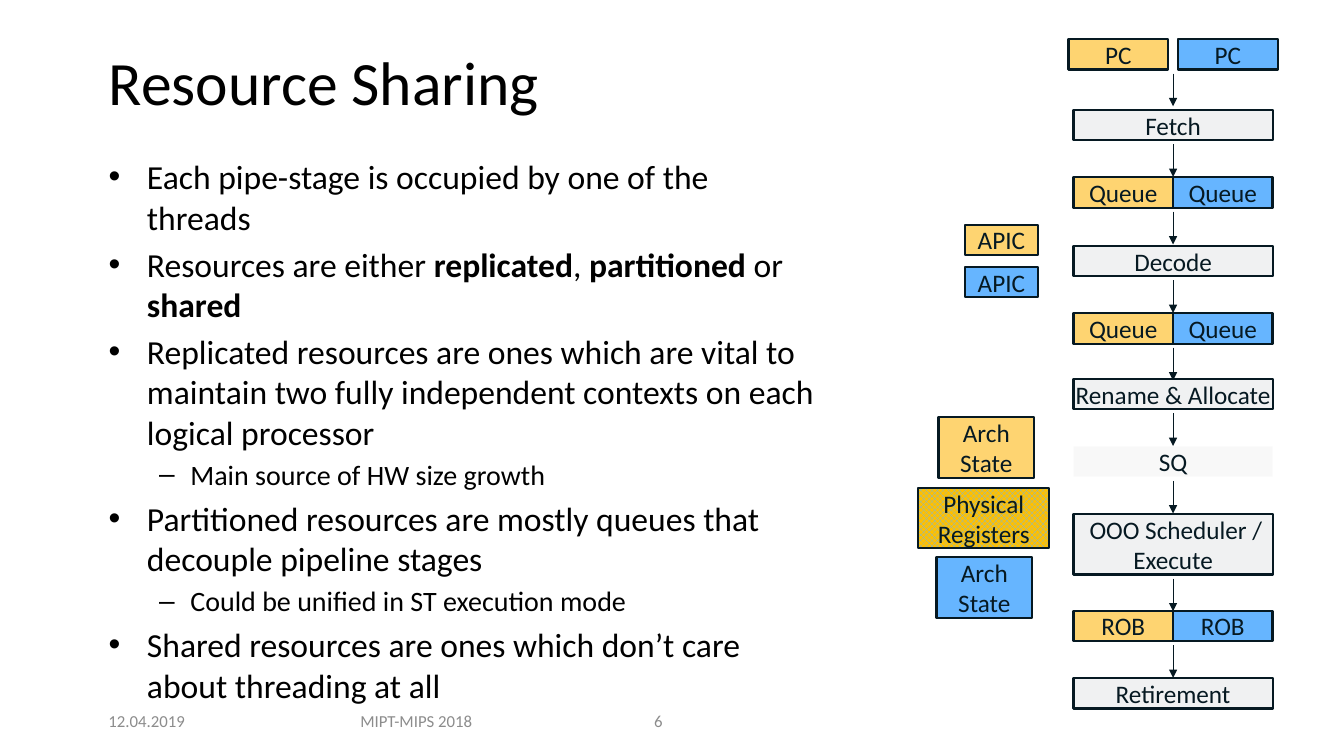
from dataclasses import dataclass
from typing import NamedTuple

from lxml import etree
from pptx import Presentation
from pptx import util as u
from pptx.dml.color import RGBColor
from pptx.enum import dml, shapes, text
from pptx.oxml import ns

CELL = u.Inches(0.1)  # grid of square cells, 133.3 columns by 75 rows
COLUMNS, ROWS = 133.33, 75


@dataclass(frozen=True)
class Theme:
    font: str = "Calibri"
    black: str = "000000"
    muted: str = "8C8C8C"
    ink: str = "061922"
    first: str = "FED471"
    second: str = "66B5FF"
    shared: str = "F0F1F2"
    mixed: str = "FFC000"
    faint: str = "F2F2F2"
    title: float = 44
    body: float = 24
    sub: float = 20
    label: float = 18
    footer: float = 12


class Box(NamedTuple):
    left: float
    top: float
    width: float
    height: float

    def inner(self, left, top, width, height):
        return Box(self.left + left, self.top + top, width, height)

    def lengths(self):
        return [int(value * CELL) for value in self]


THEME = Theme()
LINE = 3  # rows of a one-line block


def color(code):
    return RGBColor.from_string(code)


def add_span(para, words, size, ink, bold=False):
    span = para.add_run()
    span.text = words
    font = span.font
    font.name, font.size, font.bold = THEME.font, u.Pt(size), bold
    font.color.rgb = color(ink)


def write(frame, words, size=THEME.label, ink=THEME.ink, align=text.PP_ALIGN.CENTER,
          spacing=None):
    frame.word_wrap = True
    frame.vertical_anchor = text.MSO_ANCHOR.MIDDLE
    para = frame.paragraphs[0]
    para.alignment = align
    if spacing:
        para.line_spacing = spacing
    add_span(para, words, size, ink)


def add_text(page, box, words, **style):
    write(page.shapes.add_textbox(*box.lengths()).text_frame, words, **style)


def add_block(page, box, words, fill, side=1, border=True):
    block = page.shapes.add_shape(shapes.MSO_SHAPE.RECTANGLE, *box.lengths())
    block.shadow.inherit = False
    if fill == THEME.mixed:
        block.fill.patterned()
        block.fill.pattern = dml.MSO_PATTERN.LARGE_CHECKER_BOARD
        block.fill.fore_color.rgb = color(THEME.second)
        block.fill.back_color.rgb = color(THEME.mixed)
    else:
        block.fill.solid()
        block.fill.fore_color.rgb = color(fill)
    if border:
        block.line.color.rgb = color(THEME.ink)
        block.line.width = u.Pt(1.5)
    else:
        block.line.fill.background()
    frame = block.text_frame
    frame.margin_left = frame.margin_right = int(side * CELL)
    frame.margin_top = frame.margin_bottom = 0
    frame.auto_size = text.MSO_AUTO_SIZE.SHAPE_TO_FIT_TEXT
    write(frame, words)
    return block


def add_arrow(page, column, top, length):
    x, start, end = (int(value * CELL) for value in (column, top, top + length))
    arrow = page.shapes.add_connector(shapes.MSO_CONNECTOR.STRAIGHT, x, start, x, end)
    arrow.line.color.rgb = color(THEME.ink)
    arrow.line.width = u.Pt(0.75)
    etree.SubElement(arrow.line._get_or_add_ln(), ns.qn("a:tailEnd"), type="triangle")
    etree.SubElement(arrow._element.spPr, ns.qn("a:effectLst"))


def add_bullets(page, box, items):
    frame = page.shapes.add_textbox(*box.lengths()).text_frame
    frame.word_wrap = True
    for index, (level, spans) in enumerate(items):
        para = frame.paragraphs[0] if index == 0 else frame.add_paragraph()
        size = THEME.sub if level else THEME.body
        indent, hang, mark = (8.1, 3.1, "–") if level else (3.8, 3.8, "•")
        para.level = level
        if index:
            para.space_before = u.Pt(0.2 * size)
        props = para._p.get_or_add_pPr()
        props.set("marL", str(int(indent * CELL)))
        props.set("indent", str(int(-hang * CELL)))
        etree.SubElement(props, ns.qn("a:buFont"), typeface="Arial")
        etree.SubElement(props, ns.qn("a:buChar"), char=mark)
        # Every second span is emphasised
        for order, words in enumerate(spans):
            add_span(para, words, size, THEME.black, bold=order % 2 == 1)


def add_footer(page, box):
    for left, width, words, align in (
        (0, 10.7, "12.04.2019", text.PP_ALIGN.CENTER),
        (24.2, 15.8, "MIPT-MIPS 2018", text.PP_ALIGN.CENTER),
        (54.7, 7.9, "6", text.PP_ALIGN.LEFT),
    ):
        add_text(page, box.inner(left, 0, width, box.height), words,
                 size=THEME.footer, ink=THEME.muted, align=align)


def add_pipeline(page, box):
    half = box.width / 2
    # Row, labels, height and extra gap between the two halves
    stages = (
        (0, ("PC", "PC"), LINE, 1),
        (7, ("Fetch",), LINE, 0),
        (13.7, ("Queue", "Queue"), LINE, 0),
        (20.5, ("Decode",), LINE, 0),
        (27.2, ("Queue", "Queue"), LINE, 0),
        (33.7, ("Rename & Allocate",), LINE, 0),
        (40.4, ("SQ",), LINE, 0),
        (47.1, (" OOO Scheduler / Execute",), 2 * LINE, 0),
        (56.7, ("ROB", "ROB"), LINE, 0),
        (63.4, ("Retirement",), LINE, 0),
    )
    for row, labels, height, gap in stages:
        if len(labels) == 2:
            fills = THEME.first, THEME.second
            for side, (label, fill) in enumerate(zip(labels, fills)):
                left = side * (half + gap) - gap / 2
                add_block(page, box.inner(left, row, half, height), label, fill)
        elif labels[0] == "SQ":
            queue = add_block(page, box.inner(0, row, box.width, height), "SQ",
                              THEME.faint, border=False)
            tone = queue._element.spPr.find(".//" + ns.qn("a:srgbClr"))
            etree.SubElement(tone, ns.qn("a:alpha"), val="47000")
        else:
            add_block(page, box.inner(0, row, box.width, height), labels[0],
                      THEME.shared, side=0)
        if row != stages[-1][0]:
            add_arrow(page, box.left + half, box.top + row + height + 0.4, 3.25)


def add_thread_state(page, box):
    for left, top, width, lines, label, fill in (
        (4.6, 0, 7.3, 1, "APIC", THEME.first),
        (4.6, 4.2, 7.3, 1, "APIC", THEME.second),
        (2, 19.1, 9.5, 2, "Arch State", THEME.first),
        (0, 26.1, 13, 2, "Physical Registers", THEME.mixed),
        (1.8, 33, 9.5, 2, "Arch State", THEME.second),
    ):
        add_block(page, box.inner(left, top, width, lines * LINE), label, fill)


def add_resource_page(deck):
    page = deck.slides.add_slide(deck.slide_layouts[6])
    add_footer(page, Box(9.2, 69.5, 62.6, 4))
    add_text(page, Box(9.8, 3.9, 90.6, 9.1), "Resource Sharing", size=THEME.title,
             ink=THEME.black, align=text.PP_ALIGN.LEFT, spacing=0.9)
    add_bullets(page, Box(9.8, 15, 72.2, 54.6), (
        (0, ("Each pipe-stage is occupied by one of the threads",)),
        (0, ("Resources are either ", "replicated", ", ", "partitioned", " or ", "shared")),
        (0, ("Replicated resources are ones which are vital to maintain two fully "
             "independent contexts on each logical processor",)),
        (1, ("Main source of HW size growth",)),
        (0, ("Partitioned resources are mostly queues that decouple pipeline stages",)),
        (1, ("Could be unified in ST execution mode",)),
        (0, ("Shared resources are ones which don’t care about threading at all",)),
    ))
    add_thread_state(page, Box(91.1, 22.3, 13, 39.1))
    add_pipeline(page, Box(106.5, 3.9, 19.75, 66.4))


def main():
    deck = Presentation()
    deck.slide_width, deck.slide_height = int(COLUMNS * CELL), ROWS * CELL
    add_resource_page(deck)
    deck.save("out.pptx")


if __name__ == "__main__":
    main()
